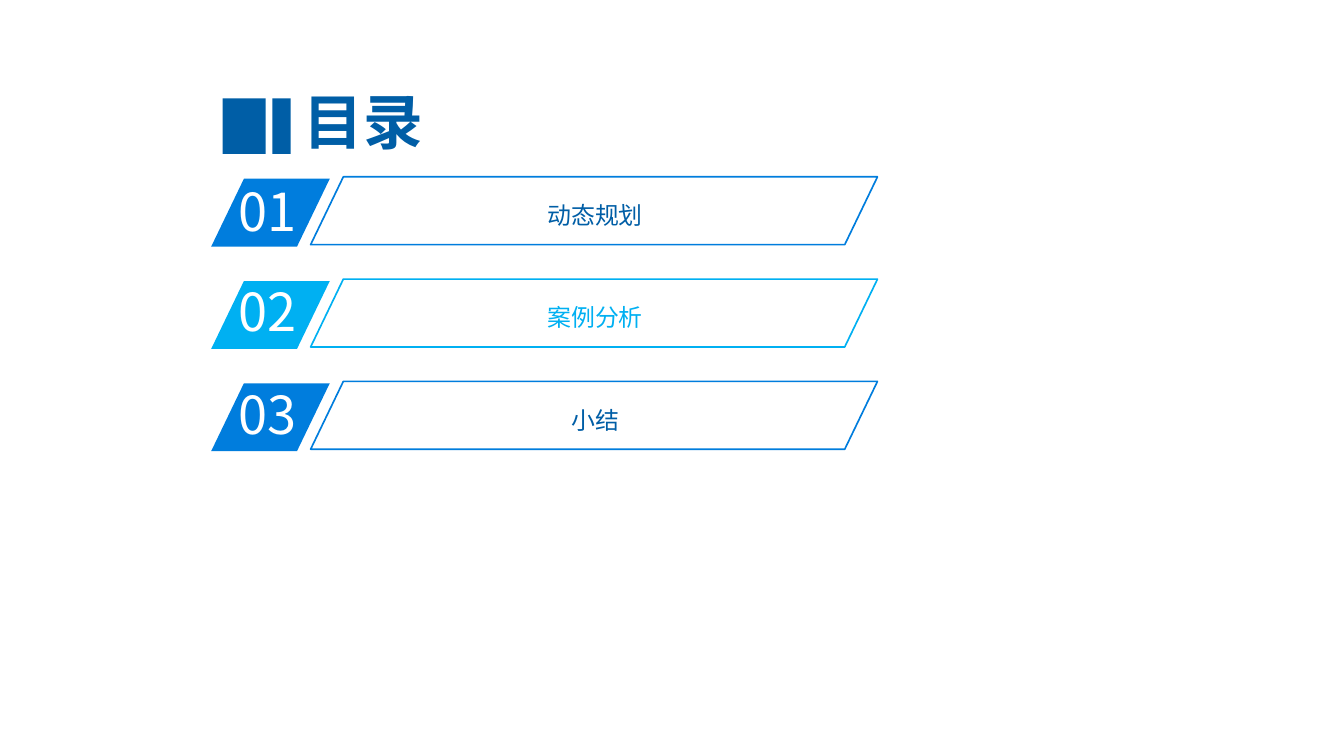
from lxml import etree
from pptx import Presentation
from pptx.dml.color import RGBColor
from pptx.enum.shapes import MSO_SHAPE
from pptx.enum.text import MSO_ANCHOR, MSO_AUTO_SIZE, PP_ALIGN
from pptx.oxml.ns import qn
from pptx.util import Inches, Pt

RECTANGLE = MSO_SHAPE.RECTANGLE
PARALLELOGRAM = MSO_SHAPE.PARALLELOGRAM
TOP, MIDDLE = MSO_ANCHOR.TOP, MSO_ANCHOR.MIDDLE
LEFT, CENTER = PP_ALIGN.LEFT, PP_ALIGN.CENTER
NO_AUTOFIT = MSO_AUTO_SIZE.NONE

COLORS = {"navy": "005EA6", "blue": "007DDD", "sky": "00B0F2", "white": "FFFFFF"}
FONT = "Noto Sans CJK SC"
SLANT = 0.482
ROW_PITCH = 1.07


class AgendaPage:
    def __init__(self, page):
        self.page = page

    def color(self, name):
        return RGBColor.from_string(COLORS[name])

    def set_text(self, box, text, size, color, align=LEFT, anchor=TOP, bold=False, spacing=1.0):
        frame = box.text_frame
        frame.word_wrap = True
        frame.auto_size = NO_AUTOFIT
        frame.vertical_anchor = anchor
        frame.text = text
        para = frame.paragraphs[0]
        para.alignment = align
        para.line_spacing = spacing
        for span in para.runs:
            span.font.name = FONT
            span.font.size = Pt(size)
            span.font.bold = bold
            span.font.color.rgb = self.color(color)
            east_asian = etree.SubElement(span.font._element, qn("a:ea"))
            east_asian.set("typeface", FONT)

    def title(self, text, left, top, width, height):
        box = self.page.shapes.title
        box.left, box.top = Inches(left), Inches(top)
        box.width, box.height = Inches(width), Inches(height)
        self.set_text(box, text, 45, "navy", CENTER, MIDDLE, bold=True)

    def text(self, text, left, top, width, height, size, color, **style):
        box = self.page.shapes.add_textbox(
            Inches(left), Inches(top), Inches(width), Inches(height))
        self.set_text(box, text, size, color, **style)

    def shape(self, kind, left, top, width, height, fill=None, line=None):
        shape = self.page.shapes.add_shape(
            kind, Inches(left), Inches(top), Inches(width), Inches(height))
        shape.shadow.inherit = False
        if kind == PARALLELOGRAM:
            shape.adjustments[0] = SLANT
        if fill:
            shape.fill.solid()
            shape.fill.fore_color.rgb = self.color(fill)
        else:
            shape.fill.background()
        if line:
            shape.line.color.rgb = self.color(line)
            shape.line.width = Pt(1.25)
        else:
            shape.line.fill.background()

    def entry(self, row, number_top, label, accent, label_color):
        shift = row * ROW_PITCH
        self.shape(PARALLELOGRAM, 2.21, 1.87 + shift, 1.24, 0.71, fill=accent)
        self.text(f"{row + 1:02d}", 2.4, number_top, 1.18, 0.76, 39.4, "white")
        self.text(label, 4.05, 1.9 + shift, 4.35, 0.49, 18, label_color,
                  align=CENTER, spacing=1.5)
        self.shape(PARALLELOGRAM, 3.25, 1.85 + shift, 5.93, 0.71, line=accent)


deck = Presentation()
deck.slide_width, deck.slide_height = Inches(14.06), Inches(7.91)
agenda = AgendaPage(deck.slides.add_slide(deck.slide_layouts[5]))

agenda.title("目录", 2.07, 0.88, 3.47, 0.76)
for bar_left, bar_width in [(2.33, 0.45), (2.85, 0.19)]:
    agenda.shape(RECTANGLE, bar_left, 1.03, bar_width, 0.58, fill="navy")

entries = [
    (1.83, "动态规划", "blue", "navy"),
    (2.87, "案例分析", "sky", "sky"),
    (3.95, "小结", "blue", "navy"),
]
for row, entry in enumerate(entries):
    agenda.entry(row, *entry)

deck.save("out.pptx")
